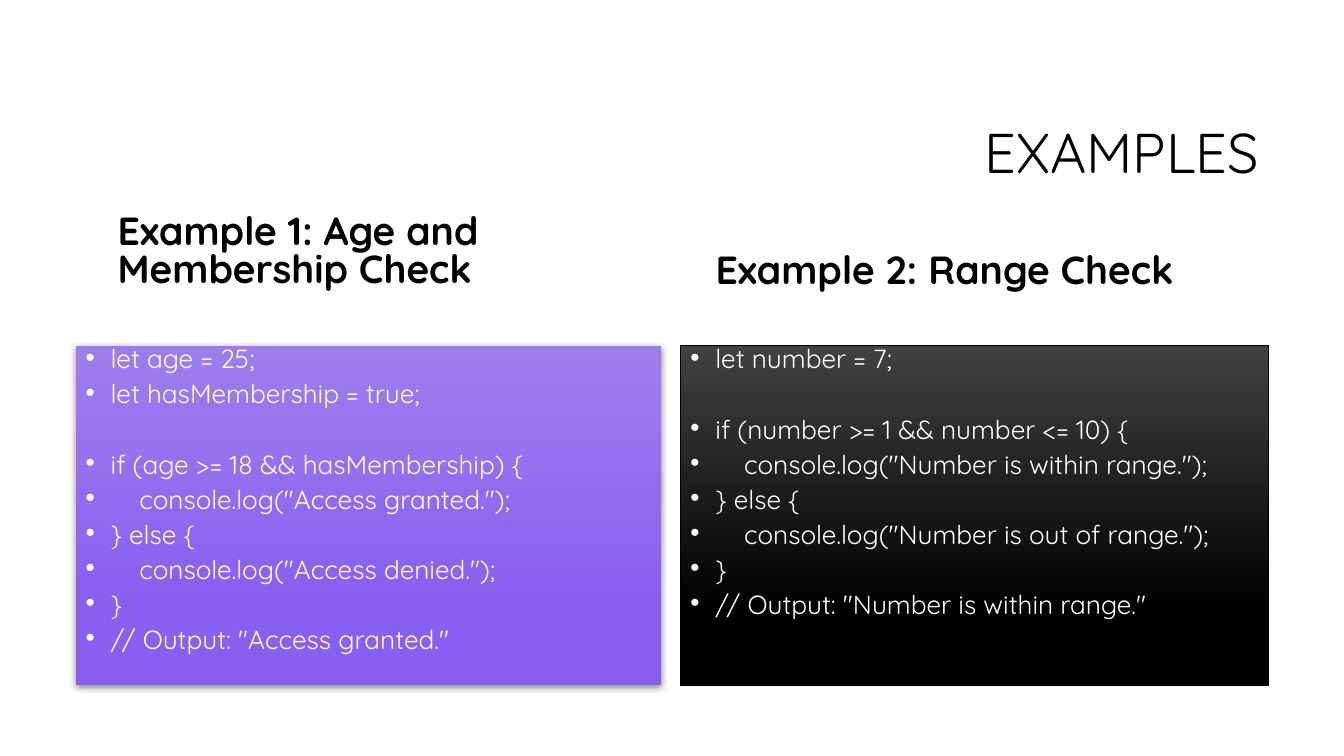
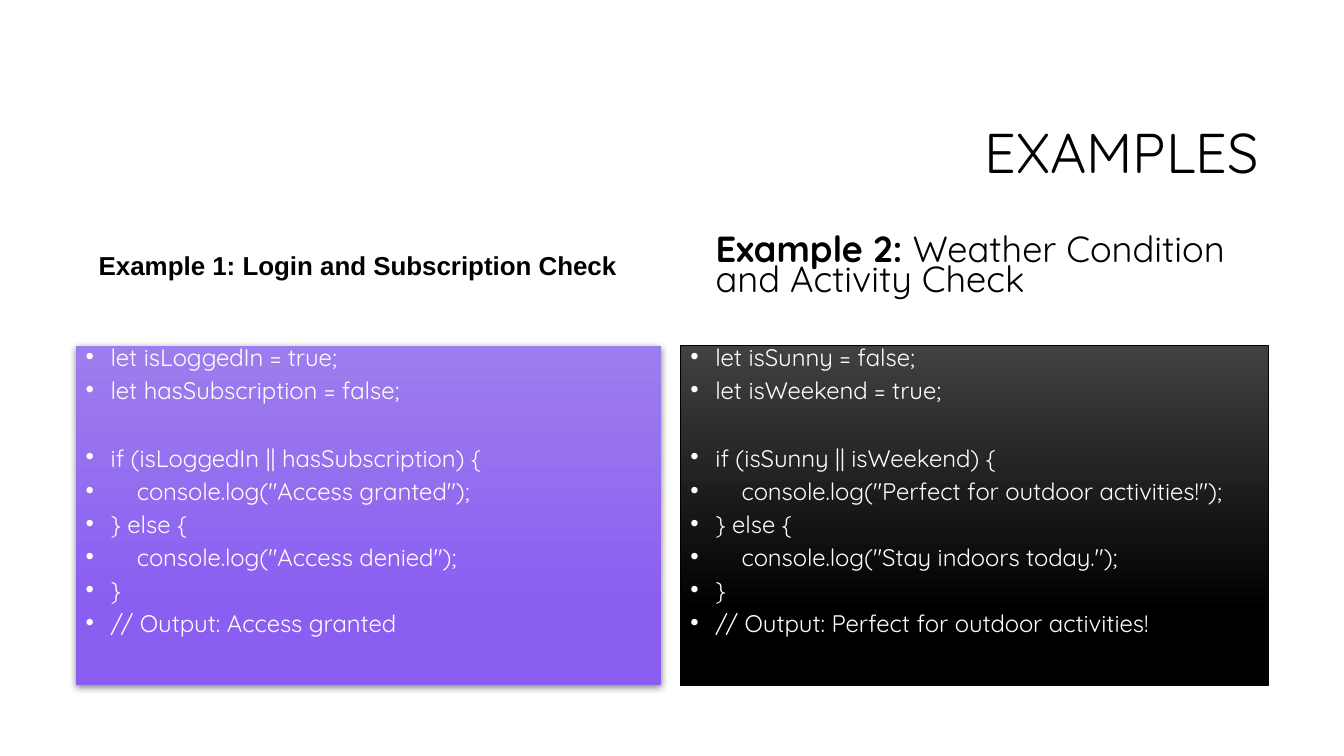
from lxml import etree
from pptx import Presentation
from pptx.dml.color import RGBColor
from pptx.enum.shapes import MSO_SHAPE
from pptx.enum.text import MSO_ANCHOR, PP_ALIGN
from pptx.oxml.ns import qn
from pptx.util import Pt

RECTANGLE = MSO_SHAPE.RECTANGLE
TOP, MIDDLE, BOTTOM = MSO_ANCHOR.TOP, MSO_ANCHOR.MIDDLE, MSO_ANCHOR.BOTTOM
LEFT, RIGHT = PP_ALIGN.LEFT, PP_ALIGN.RIGHT

BLACK = RGBColor(0x00, 0x00, 0x00)
WHITE = RGBColor(0xFF, 0xFF, 0xFF)
CHARCOAL = RGBColor(0x41, 0x41, 0x41)
LILAC = RGBColor(0x9D, 0x7D, 0xED)
VIOLET = RGBColor(0x8A, 0x5E, 0xF1)

BODY_FONT = "Quicksand"
PLAIN_FONT = "Arial"
FONT_LINE = 1.25  # natural line height of the body font, in ems

PANEL_TOP, PANEL_HEIGHT = 247, 242.6
LEFT_PANEL = (54, 418.3)
RIGHT_PANEL = (486, 419.8)
HEADING_HEIGHT = 65
CODE_SPACING = 0.7
CODE_GAP = 9.3
CODE_INDENT = 18

# Each heading: left, bottom, width, size, font, line spacing, (text, bold) parts
# Each program: its source, where an empty line marks a wider gap
EXAMPLES = [
    {
        "code_size": 18.7,
        "headings": [
            (77, 211.5, 374.4, 28, BODY_FONT, 0.8,
             [("Example 1: Age and Membership Check", True)]),
            (504, 212, 401.8, 28, BODY_FONT, 0.8,
             [("Example 2: Range Check", True)]),
        ],
        "programs": [
            '''let age = 25;
let hasMembership = true;

if (age >= 18 && hasMembership) {
    console.log("Access granted.");
} else {
    console.log("Access denied.");
}
// Output: "Access granted."''',
            '''let number = 7;

if (number >= 1 && number <= 10) {
    console.log("Number is within range.");
} else {
    console.log("Number is out of range.");
}
// Output: "Number is within range."''',
        ],
    },
    {
        "code_size": 17.1,
        "headings": [
            (63.4, 204, 388.1, 18.5, PLAIN_FONT, 0.8,
             [("Example 1: Login and Subscription Check", True)]),
            (504, 217, 401.8, 25.9, BODY_FONT, 0.7,
             [("Example 2: ", True),
              ("Weather Condition and Activity Check", False)]),
        ],
        "programs": [
            '''let isLoggedIn = true;
let hasSubscription = false;

if (isLoggedIn || hasSubscription) {
    console.log("Access granted");
} else {
    console.log("Access denied");
}
// Output: Access granted''',
            '''let isSunny = false;
let isWeekend = true;

if (isSunny || isWeekend) {
    console.log("Perfect for outdoor activities!");
} else {
    console.log("Stay indoors today.");
}
// Output: Perfect for outdoor activities!''',
        ],
    },
]


def style(paragraph, size, color, spacing, font=BODY_FONT, align=LEFT):
    paragraph.alignment = align
    paragraph.line_spacing = spacing
    paragraph.font.name = font
    paragraph.font.size = Pt(size)
    paragraph.font.color.rgb = color


def add_label(slide, box, anchor, parts, size, spacing, font=BODY_FONT, align=LEFT):
    """Add a text box with one paragraph of (text, bold) parts."""
    label = slide.shapes.add_textbox(*map(Pt, box))
    frame = label.text_frame
    frame.word_wrap = True
    frame.vertical_anchor = anchor
    paragraph = frame.paragraphs[0]
    style(paragraph, size, BLACK, spacing, font, align)
    for text, bold in parts:
        run = paragraph.add_run()
        run.text = text
        run.font.bold = bold


def add_title(slide, text):
    add_label(slide, (228.2, 59.8, 678.2, 102.2), MIDDLE, [(text, False)],
              40, 0.9, align=RIGHT)


def add_heading(slide, left, bottom, width, size, font, spacing, parts):
    box = (left, bottom - HEADING_HEIGHT, width, HEADING_HEIGHT)
    add_label(slide, box, BOTTOM, parts, size, spacing, font)


def add_panel(slide, span, start, end):
    """Add a rectangle shaded downwards from start to end."""
    left, width = span
    panel = slide.shapes.add_shape(
        RECTANGLE, Pt(left), Pt(PANEL_TOP), Pt(width), Pt(PANEL_HEIGHT))
    panel.shadow.inherit = False
    panel.line.fill.background()
    panel.fill.gradient()
    panel.fill.gradient_angle = 270
    stops = zip(panel.fill.gradient_stops, (start, end), (0, 0.78))
    for stop, color, position in stops:
        stop.color.rgb = color
        stop.position = position
    return panel


def add_soft_shadow(panel):
    effects = panel._element.spPr.find(qn("a:effectLst"))
    shadow = etree.SubElement(
        effects, qn("a:outerShdw"), blurRad=str(Pt(4.5)), dist=str(Pt(1.5)),
        dir="5400000", algn="ctr", rotWithShape="0")
    color = etree.SubElement(shadow, qn("a:srgbClr"), val=str(BLACK))
    etree.SubElement(color, qn("a:alpha"), val="48000")


def add_outline(panel):
    panel.line.color.rgb = BLACK
    panel.line.width = Pt(0.75)


def add_bullet(paragraph):
    properties = paragraph._p.get_or_add_pPr()
    properties.set("marL", str(Pt(CODE_INDENT)))
    properties.set("indent", str(-Pt(CODE_INDENT)))
    etree.SubElement(properties, qn("a:buFont"), typeface=PLAIN_FONT)
    etree.SubElement(properties, qn("a:buChar"), char="•")


def write_code(panel, program, size):
    frame = panel.text_frame
    frame.word_wrap = True
    frame.vertical_anchor = TOP
    pitch = CODE_GAP + size * FONT_LINE * CODE_SPACING
    paragraph = frame.paragraphs[0]
    gap = 0
    for line in program.split("\n"):
        if not line:
            gap += pitch
            continue
        if gap:
            paragraph = frame.add_paragraph()
        add_bullet(paragraph)
        paragraph.space_before = Pt(gap)
        style(paragraph, size, WHITE, CODE_SPACING)
        paragraph.add_run().text = line
        gap = CODE_GAP


def add_example_slide(deck, example):
    slide = deck.slides.add_slide(deck.slide_layouts[6])
    add_title(slide, "EXAMPLES")
    for heading in example["headings"]:
        add_heading(slide, *heading)

    # Code panels
    violet_panel = add_panel(slide, LEFT_PANEL, LILAC, VIOLET)
    add_soft_shadow(violet_panel)
    black_panel = add_panel(slide, RIGHT_PANEL, CHARCOAL, BLACK)
    add_outline(black_panel)
    for panel, program in zip((violet_panel, black_panel), example["programs"]):
        write_code(panel, program, example["code_size"])


def main():
    deck = Presentation()
    deck.slide_width, deck.slide_height = Pt(960), Pt(540)
    for example in EXAMPLES:
        add_example_slide(deck, example)
    deck.save("out.pptx")


if __name__ == "__main__":
    main()
